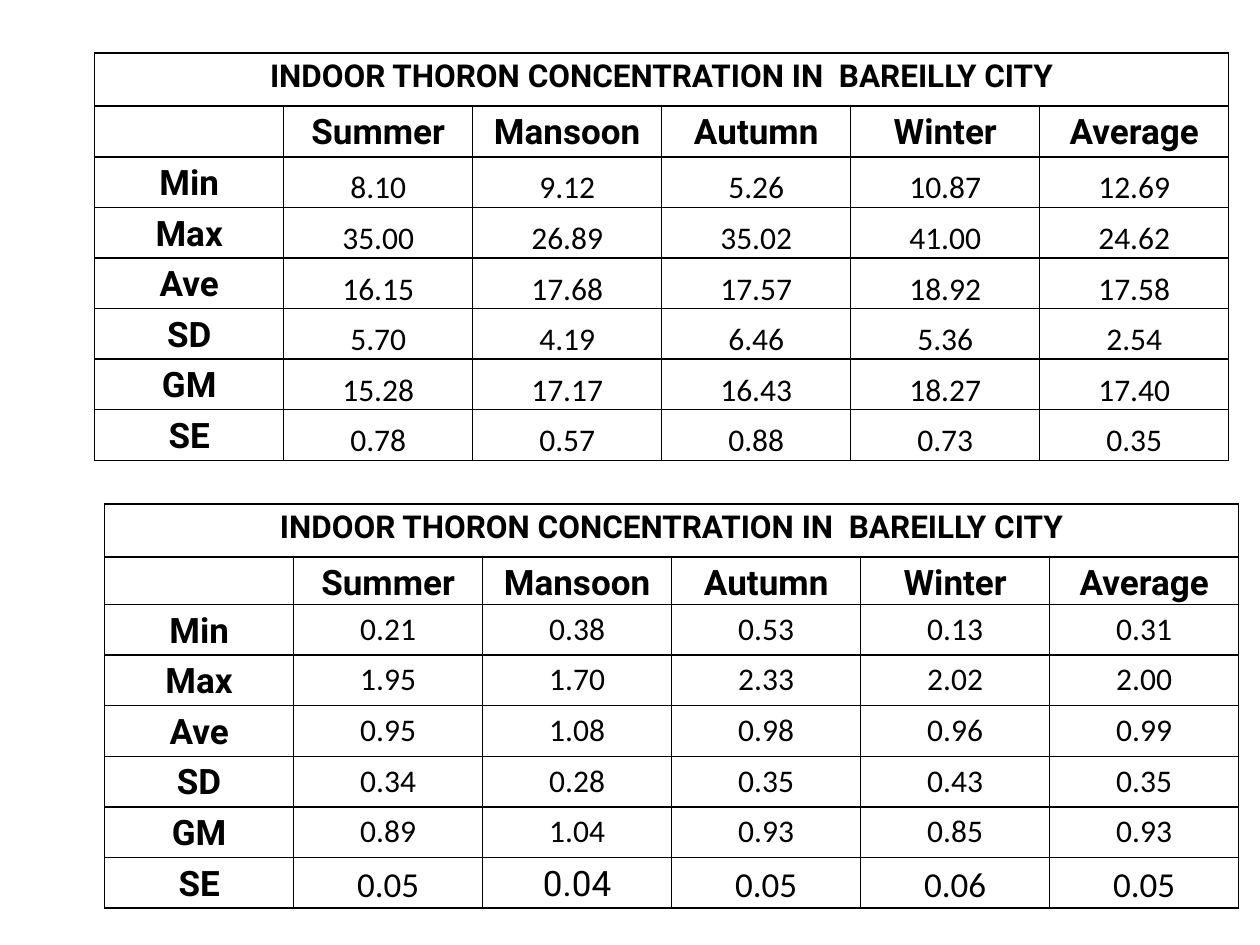
from lxml import etree
from pptx import Presentation
from pptx import util as u
from pptx.dml.color import RGBColor
from pptx.enum import text
from pptx.oxml import ns

TITLE = "INDOOR THORON CONCENTRATION IN  BAREILLY CITY"
SEASONS = ["", "Summer", "Mansoon", "Autumn", "Winter", "Average"]
BLACK = "000000"
HEADING = {"name": "Roboto", "size": u.Pt(20), "bold": True}
CAPTION = {**HEADING, "size": u.Pt(18)}
VALUE = {"name": "Calibri", "size": u.Pt(18), "bold": False}
LARGE_VALUE = {**VALUE, "size": u.Pt(20)}

TABLES = [
    {
        "left": 1.91, "top": 1.07, "header_height": 1.02,
        "anchor": text.MSO_ANCHOR.BOTTOM,
        "rows": [
            ["Min", "8.10", "9.12", "5.26", "10.87", "12.69"],
            ["Max", "35.00", "26.89", "35.02", "41.00", "24.62"],
            ["Ave", "16.15", "17.68", "17.57", "18.92", "17.58"],
            ["SD", "5.70", "4.19", "6.46", "5.36", "2.54"],
            ["GM", "15.28", "17.17", "16.43", "18.27", "17.40"],
            ["SE", "0.78", "0.57", "0.88", "0.73", "0.35"],
        ],
        "special": {},
    },
    {
        "left": 2.11, "top": 10.16, "header_height": 0.84,
        "anchor": text.MSO_ANCHOR.TOP,
        "rows": [
            ["Min", "0.21", "0.38", "0.53", "0.13", "0.31"],
            ["Max", "1.95", "1.70", "2.33", "2.02", "2.00"],
            ["Ave", "0.95", "1.08", "0.98", "0.96", "0.99"],
            ["SD", "0.34", "0.28", "0.35", "0.43", "0.35"],
            ["GM", "0.89", "1.04", "0.93", "0.85", "0.93"],
            ["SE", "0.05", "0.04", "0.05", "0.06", "0.05"],
        ],
        # Formats of the last row, by (row, column)
        "special": {(7, col): LARGE_VALUE for col in range(1, 6)}
        | {(7, 2): {**HEADING, "bold": False}},
    },
]
COLUMN_WIDTH, TITLE_HEIGHT, ROW_HEIGHT = 3.81, 1.07, 1.02
MARGINS = {"margin_left": u.Cm(0.18), "margin_right": u.Cm(0.18),
           "margin_top": 0, "margin_bottom": 0}


def color(hex_value):
    return RGBColor.from_string(hex_value)


def set_all(target, values):
    for name, value in values.items():
        setattr(target, name, value)


def add_borders(cell):
    properties = cell._tc.get_or_add_tcPr()
    for side in ("a:lnL", "a:lnR", "a:lnT", "a:lnB"):
        line = etree.SubElement(properties, ns.qn(side), w=str(u.Pt(1)))
        fill = etree.SubElement(line, ns.qn("a:solidFill"))
        etree.SubElement(fill, ns.qn("a:srgbClr"), val=BLACK)


def format_cell(cell, words, font, anchor):
    add_borders(cell)
    cell.fill.background()
    set_all(cell, {**MARGINS, "vertical_anchor": anchor})
    para = cell.text_frame.paragraphs[0]
    set_all(para, {"alignment": text.PP_ALIGN.CENTER, "line_spacing": 1.15})
    if words:
        span = para.add_run()
        span.text = words
        set_all(span.font, font)
        span.font.color.rgb = color(BLACK)


def add_season_table(page, info):
    rows = [[TITLE] + [""] * (len(SEASONS) - 1), SEASONS] + info["rows"]
    heights = [TITLE_HEIGHT, info["header_height"]] + [ROW_HEIGHT] * len(info["rows"])
    frame = page.shapes.add_table(
        len(rows), len(SEASONS), u.Cm(info["left"]), u.Cm(info["top"]),
        u.Cm(COLUMN_WIDTH * len(SEASONS)), u.Cm(sum(heights)))
    table = frame.table
    set_all(table, {"first_row": False, "horz_banding": False})
    for column in table.columns:
        column.width = u.Cm(COLUMN_WIDTH)
    for r, (row, height) in enumerate(zip(rows, heights)):
        table.rows[r].height = u.Cm(height)
        for c, words in enumerate(row):
            is_value = r > 1 and c > 0
            font = CAPTION if r == 0 else VALUE if is_value else HEADING
            anchor = info["anchor"] if is_value else text.MSO_ANCHOR.TOP
            format_cell(table.cell(r, c), words, info["special"].get((r, c), font), anchor)
    table.cell(0, 0).merge(table.cell(0, len(SEASONS) - 1))


def main():
    deck = Presentation()
    set_all(deck, {"slide_width": u.Cm(25.4), "slide_height": u.Cm(19.05)})
    page = deck.slides.add_slide(deck.slide_layouts[6])
    for info in TABLES:
        add_season_table(page, info)
    deck.save("out.pptx")


if __name__ == "__main__":
    main()
